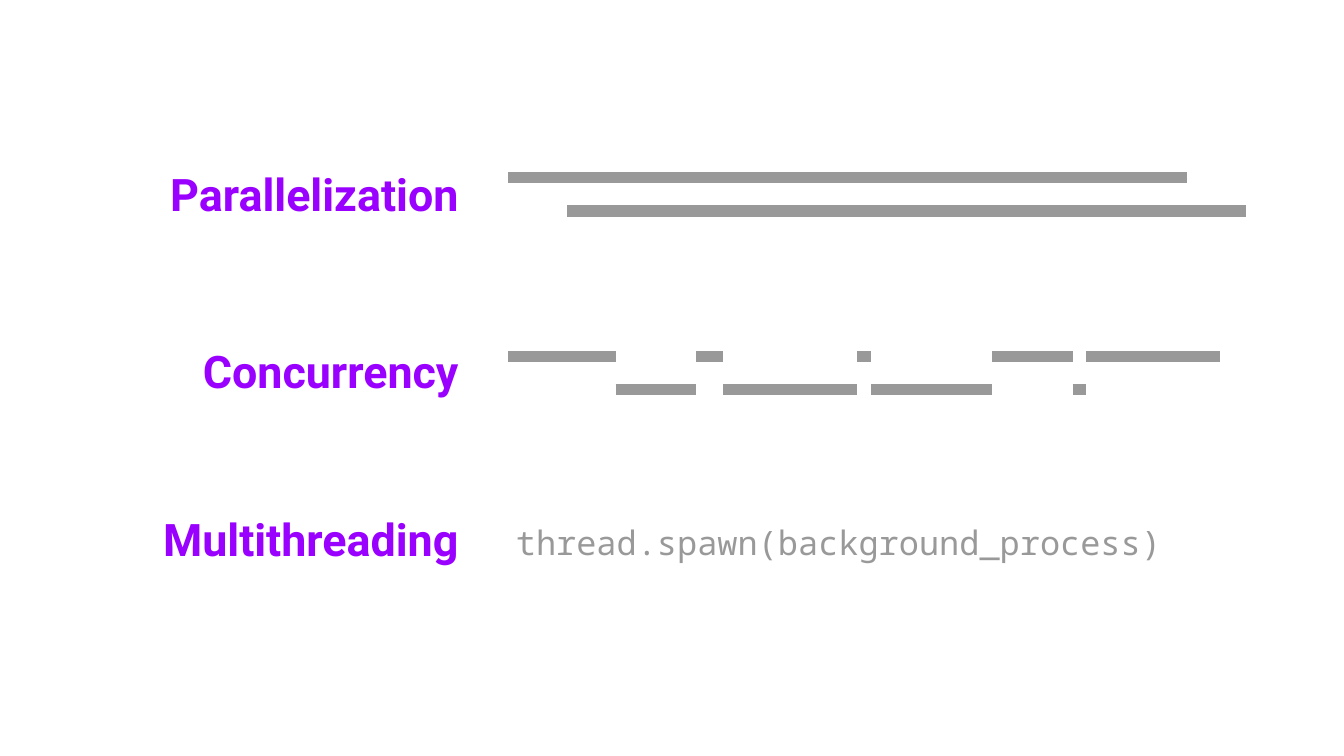
import itertools

import pptx
import pptx.dml.color
import pptx.enum.shapes
import pptx.enum.text
import pptx.oxml
import pptx.util

SLIDE_WIDTH = 10
SLIDE_HEIGHT = SLIDE_WIDTH * 9 / 16
PURPLE, GRAY = "9900FF", "999999"
LABEL_LEFT, LABEL_WIDTH, LABEL_HEIGHT = 0.74, 2.77, 0.61
TRACK_LEFT, TRACK_GAP = 3.78, 0.25
TIME_UNIT = 0.1
TURNS = (8, 6, 2, 10, 1, 9, 6, 1, 10)


def color(hex_string):
    """Return an RGB colour from a hex string."""
    return pptx.dml.color.RGBColor.from_string(hex_string)


def add_text(slide, box, wording, font_name, size, hue, bold=False, align="LEFT"):
    """Place one line of text in a box given in inches."""
    frame = slide.shapes.add_textbox(*map(pptx.util.Inches, box)).text_frame
    frame.word_wrap = True
    for side in ("left", "top", "right", "bottom"):
        setattr(frame, f"margin_{side}", pptx.util.Inches(0.1))
    paragraph = frame.paragraphs[0]
    paragraph.alignment = pptx.enum.text.PP_ALIGN[align]
    run = paragraph.add_run()
    run.text = wording
    run.font.name = font_name
    run.font.size = pptx.util.Pt(size)
    run.font.bold = bold
    run.font.color.rgb = color(hue)


def add_bar(slide, start, end, level):
    """Draw a thick horizontal line that shows a task running."""
    ends = map(pptx.util.Inches, (start, level, end, level))
    bar = slide.shapes.add_connector(pptx.enum.shapes.MSO_CONNECTOR.STRAIGHT, *ends)
    bar.line.color.rgb = color(GRAY)
    bar.line.width = pptx.util.Pt(6)
    properties = bar._element.spPr
    properties.append(pptx.oxml.parse_xml(
        '<a:effectLst xmlns:a="http://schemas.openxmlformats.org/drawingml/2006/main"/>'))


def add_label(slide, top, term):
    """Place a right-aligned term in the left column."""
    box = (LABEL_LEFT, top, LABEL_WIDTH, LABEL_HEIGHT)
    add_text(slide, box, term, "Roboto", 24, PURPLE, bold=True, align="RIGHT")


def add_parallel_tasks(slide, left, top):
    """Draw two long tasks that overlap in time."""
    length, delay = 5.05, 0.44
    for task in range(2):
        start = left + task * delay
        add_bar(slide, start, start + length, top + task * TRACK_GAP)


def add_concurrent_tasks(slide, left, top):
    """Draw two tasks that take turns on alternate tracks."""
    moments = [left + TIME_UNIT * total
               for total in itertools.accumulate(TURNS, initial=0)]
    for turn, (start, end) in enumerate(itertools.pairwise(moments)):
        add_bar(slide, start, end, top + turn % 2 * TRACK_GAP)


def main():
    """Build and save the slide."""
    deck = pptx.Presentation()
    deck.slide_width = pptx.util.Inches(SLIDE_WIDTH)
    deck.slide_height = pptx.util.Inches(SLIDE_HEIGHT)
    slide = deck.slides.add_slide(deck.slide_layouts[6])
    add_parallel_tasks(slide, TRACK_LEFT, 1.32)
    add_concurrent_tasks(slide, TRACK_LEFT, 2.65)
    terms = {"Parallelization": 1.14, "Concurrency": 2.46, "Multithreading": 3.71}
    for term, top in terms.items():
        add_label(slide, top, term)
    add_text(slide, (3.74, 3.78, 5.46, 0.48), "thread.spawn(background_process)",
             "Noto Sans Mono", 18, GRAY)
    deck.save("out.pptx")


if __name__ == "__main__":
    main()
